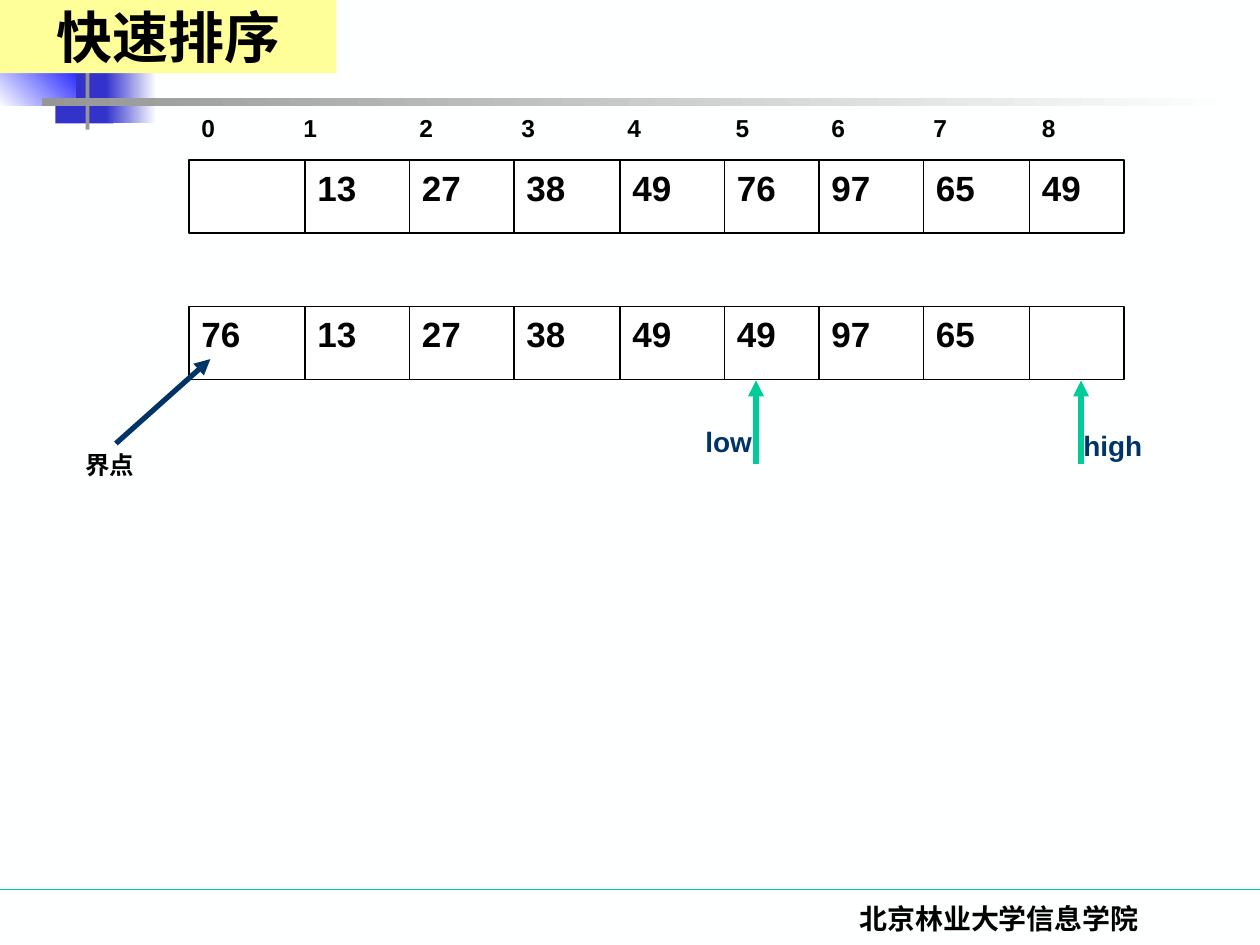
import pptx
import pptx.util
import pptx.dml.color
import pptx.enum.shapes
import pptx.enum.text
from lxml import etree
from pptx.oxml.ns import qn
from pptx.util import Inches

COLORS = {
    "background": "FEFFFF",
    "white": "FFFFFF",
    "black": "000000",
    "navy": "003366",
    "green": "00CC99",
    "indigo": "3333CC",
    "blue": "0000FF",
    "gray": "969696",
    "yellow": "FFFF99",
}
RGB = {name: pptx.dml.color.RGBColor.from_string(code) for name, code in COLORS.items()}
RECTANGLE = pptx.enum.shapes.MSO_SHAPE.RECTANGLE
CENTER = pptx.enum.text.PP_ALIGN.CENTER

deck = pptx.Presentation()
deck.slide_width, deck.slide_height = Inches(10), Inches(7.5)
page = deck.slides.add_slide(deck.slide_layouts[5])
page.background.fill.solid()
page.background.fill.fore_color.rgb = RGB["background"]


def add_line(x1, y1, x2, y2, color="black", width=0.75, arrow=False):
    line = page.shapes.add_connector(
        pptx.enum.shapes.MSO_CONNECTOR.STRAIGHT,
        Inches(x1), Inches(y1), Inches(x2), Inches(y2))
    line.line.color.rgb = RGB[color]
    line.line.width = pptx.util.Pt(width)
    if arrow:
        etree.SubElement(line.line._get_or_add_ln(), qn("a:tailEnd"), type="triangle")
    etree.SubElement(line._element.spPr, qn("a:effectLst"))


def add_text(text, left, top, width, height, size, color="black", font="Arial"):
    box = page.shapes.add_textbox(Inches(left), Inches(top), Inches(width), Inches(height))
    box.text_frame.word_wrap = True
    box.text_frame.text = text
    para = box.text_frame.paragraphs[0]
    for span in para.runs:
        span.font.name = font
        span.font.size = pptx.util.Pt(size)
        span.font.bold = True
        span.font.color.rgb = RGB[color]
    return para


# Footer rule and corner decoration: left, top, width, height, colours, angle
add_line(0, 7.06, 10, 7.06, "green")
decorations = [
    (0.44, 0.46, 0.46, 0.52, ["indigo"], 0),
    (0.84, 0.46, 0.40, 0.52, ["indigo", "background"], 0),
    (-0.01, 0.38, 0.61, 0.46, ["background", "blue"], 45),
    (0.68, -0.12, 0.03, 1.15, ["gray"], 0),
    (0.33, 0.78, 9.51, 0.06, ["gray", "background"], 0),
]
for left, top, width, height, colors, angle in decorations:
    block = page.shapes.add_shape(
        RECTANGLE, Inches(left), Inches(top), Inches(width), Inches(height))
    block.shadow.inherit = False
    block.line.fill.background()
    if len(colors) == 1:
        block.fill.solid()
        block.fill.fore_color.rgb = RGB[colors[0]]
    else:
        block.fill.gradient()
        block.fill.gradient_angle = angle
        for stop, color in zip(block.fill.gradient_stops, colors):
            stop.color.rgb = RGB[color]

footer = add_text("北京林业大学信息学院", 5.86, 7.11, 4.14, 0.5, 16, font="Times New Roman")
footer.alignment = CENTER

# Array before and after the exchange
cell_lefts = [1.5, 2.42, 3.25, 4.08, 4.92, 5.75, 6.5, 7.33, 8.17]
array_width, array_height = 7.42, 0.58
arrays = [
    (1.27, ["", "13", "27", "38", "49", "76", "97", "65", "49"]),
    (2.43, ["76", "13", "27", "38", "49", "49", "97", "65", ""]),
]
for top, values in arrays:
    frame = page.shapes.add_shape(
        RECTANGLE, Inches(cell_lefts[0]), Inches(top), Inches(array_width), Inches(array_height))
    frame.shadow.inherit = False
    frame.fill.solid()
    frame.fill.fore_color.rgb = RGB["white"]
    frame.line.color.rgb = RGB["black"]
    frame.line.width = pptx.util.Pt(0.75)
    for left in cell_lefts[1:]:
        add_line(left, top, left, top + array_height)
    for left, value in zip(cell_lefts, values):
        if value:
            add_text(value, left, top, 0.67, 0.44, 20)

# Index labels, one tab stop for each index after 0
indexes = add_text("\t".join(str(i) for i in range(9)), 1.5, 0.85, array_width, 0.34, 14)
tab_list = etree.SubElement(indexes._p.get_or_add_pPr(), qn("a:tabLst"))
for position in [0.81, 1.73, 2.54, 3.38, 4.24, 5, 5.81, 6.67]:
    etree.SubElement(tab_list, qn("a:tab"), pos=str(Inches(position)), algn="l")

# Pointers and pivot
for label, arrow_x, label_left, label_top in [("high", 8.58, 8.5, 3.35), ("low", 6, 5.5, 3.32)]:
    add_line(arrow_x, 3.68, arrow_x, 3.02, "green", 3, arrow=True)
    add_text(label, label_left, label_top, 0.92, 0.37, 16, "navy")
add_text("界点", 0.58, 3.52, 0.83, 0.34, 14)
add_line(0.92, 3.52, 1.67, 2.85, "navy", 3, arrow=True)

# Title, in front of the decoration
title = page.shapes.title
title.left, title.top, title.width, title.height = 0, 0, Inches(2.67), Inches(0.58)
title.fill.solid()
title.fill.fore_color.rgb = RGB["yellow"]
title.text_frame.text = "快速排序"
title.text_frame.auto_size = pptx.enum.text.MSO_AUTO_SIZE.NONE
title.text_frame.vertical_anchor = pptx.enum.text.MSO_ANCHOR.MIDDLE
heading = title.text_frame.paragraphs[0]
heading.alignment = CENTER
heading.runs[0].font.name = "Times New Roman"
heading.runs[0].font.size = pptx.util.Pt(32)
heading.runs[0].font.bold = True
heading.runs[0].font.color.rgb = RGB["black"]
title._element.getparent().append(title._element)

deck.save("out.pptx")
